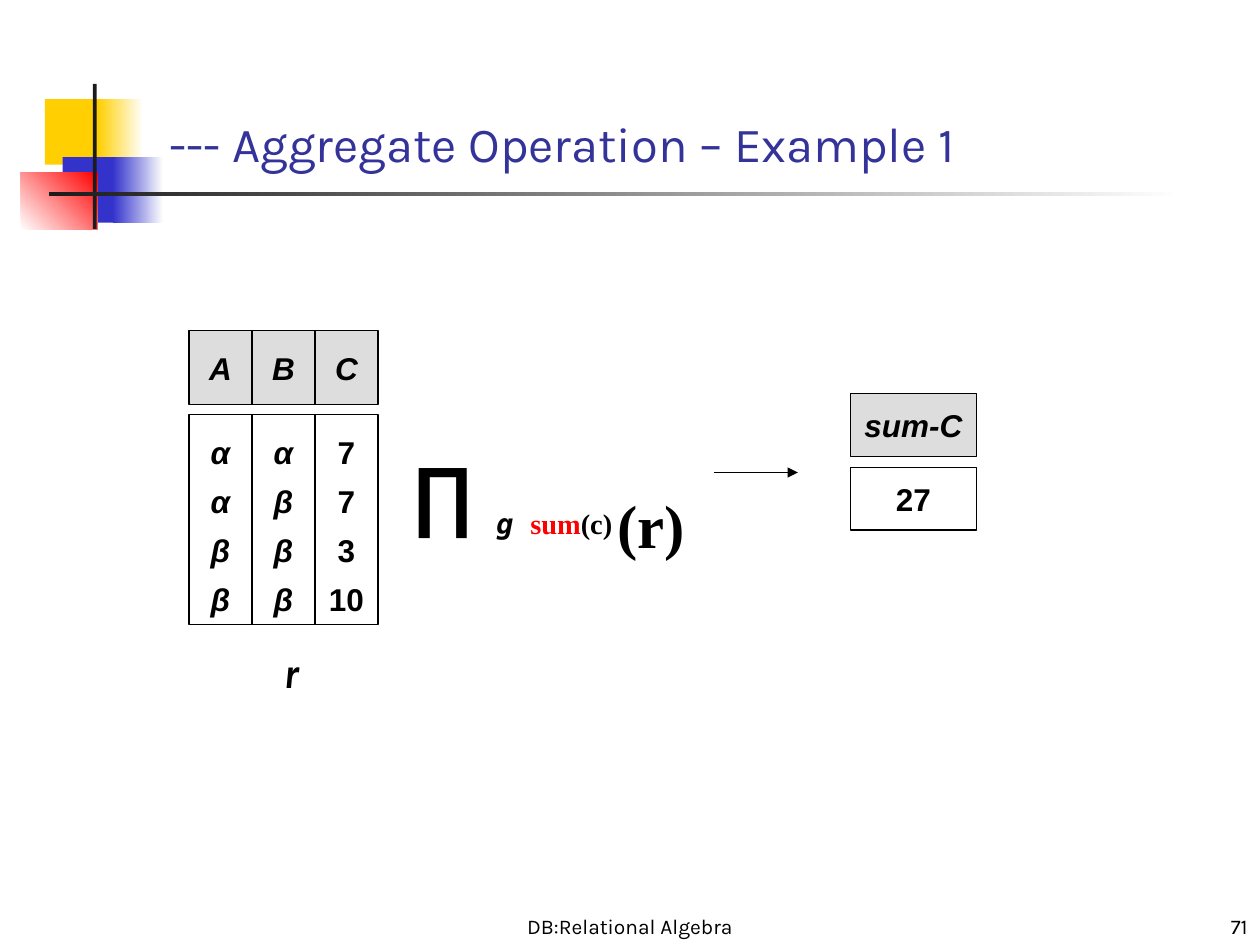
import dataclasses
import pptx
import pptx.util
import pptx.dml.color
import pptx.enum.shapes
import pptx.enum.text
import pptx.oxml

ALIGN = pptx.enum.text.PP_ALIGN
ANCHOR = pptx.enum.text.MSO_ANCHOR
WIDE, HIGH = 10, 7.5
COLS, ROWS = 240, 180


@dataclasses.dataclass(frozen=True)
class Theme:
    """Hold the colours, fonts and type sizes of the slide."""
    ink: str = "000000"
    paper: str = "FFFFFF"
    head: str = "DDDDDD"
    title: str = "333399"
    gold: str = "FFCF01"
    blue: str = "3333CC"
    red: str = "FF0000"
    bar: str = "1C1C1C"
    sans: str = "Karla"
    cell: str = "Arial"
    mono: str = "DejaVu Sans Mono"
    serif: str = "Times New Roman"
    foot: int = 12
    body: int = 18
    space: int = 20
    name: int = 24
    big: int = 28
    sign: int = 44
    call: int = 60
    line: float = 0.75


LOOK = Theme()


def span(*cells):
    """Turn left, top, width and height in grid cells into lengths."""
    steps = (WIDE / COLS, HIGH / ROWS) * 2
    return [pptx.util.Inches(n * step) for n, step in zip(cells, steps)]


def tint(code):
    """Return a colour for a hex code."""
    return pptx.dml.color.RGBColor.from_string(code)


def put(thing, **form):
    """Set each format value on an object."""
    for key, value in form.items():
        setattr(thing, key, value)


def write(para, text, size, face, color=LOOK.ink, drop=0, **form):
    """Add a run with its format to a paragraph."""
    run = para.add_run()
    run.text = text
    put(run.font, size=pptx.util.Pt(size), name=face, **form)
    run.font.color.rgb = tint(color)
    if drop:
        run.font._element.set("baseline", str(drop * 1000))


def block(slide, box, fill, fade=None, angle=0):
    """Draw a plain or fading rectangle without an outline."""
    kind = pptx.enum.shapes.MSO_SHAPE.RECTANGLE
    shape = slide.shapes.add_shape(kind, *span(*box))
    shape.shadow.inherit = False
    shape.line.fill.background()
    if fade:
        shape.fill.gradient()
        shape.fill.gradient_angle = angle
        for stop, code in zip(shape.fill.gradient_stops, (fill, fade)):
            stop.color.rgb = tint(code)
    else:
        shape.fill.solid()
        shape.fill.fore_color.rgb = tint(fill)
    return shape


def cell(slide, box, lines, fill, gap=None, italic=True):
    """Draw an outlined cell with centred lines of text."""
    shape = block(slide, box, fill)
    shape.line.color.rgb = tint(LOOK.ink)
    shape.line.width = pptx.util.Pt(LOOK.line)
    frame = shape.text_frame
    put(frame, word_wrap=False, vertical_anchor=ANCHOR.MIDDLE)
    for n, text in enumerate(lines):
        para = frame.add_paragraph() if n else frame.paragraphs[0]
        put(para, alignment=ALIGN.CENTER, line_spacing=gap)
        write(para, text, LOOK.body, LOOK.cell, bold=True, italic=italic)


def label(slide, box, align=ALIGN.LEFT, anchor=ANCHOR.TOP, wrap=True):
    """Add a text box and return its first paragraph."""
    frame = slide.shapes.add_textbox(*span(*box)).text_frame
    put(frame, word_wrap=wrap, vertical_anchor=anchor)
    frame.paragraphs[0].alignment = align
    return frame.paragraphs[0]


def motif(slide, box):
    """Draw the coloured squares and crossed bars from the box corner."""
    left, top, wide, high = box
    parts = (
        ((4.56, 2.88, 11.5, 12.5), LOOK.gold),
        ((14.64, 2.88, 8.64, 12.5), LOOK.gold, LOOK.paper),
        ((7.92, 13.92, 11, 12.5), LOOK.blue),
        ((17.52, 13.92, 9.6, 12.5), LOOK.blue, LOOK.paper),
        ((0, 16.8, 14.64, 11), LOOK.paper, LOOK.red, 45),
        ((13.68, 0, 0.75, high), LOOK.bar),
        ((5.28, 20.64, wide - 5.28, 0.75), LOOK.bar, LOOK.paper),
    )
    for (x, y, w, h), *paint in parts:
        block(slide, (left + x, top + y, w, h), *paint)


def source(slide, box):
    """Draw the relation with its heads, columns and name."""
    left, top, wide, high = box
    data = {"A": "α α β β", "B": "α β β β", "C": "7 7 3 10"}
    step = wide / len(data)
    for n, (head, items) in enumerate(data.items()):
        x = left + n * step
        cell(slide, (x, top, step, 14), [head], LOOK.head)
        cell(slide, (x, top + 16, step, high - 16), items.split(),
             LOOK.paper, 1.3, head != "C")
    para = label(slide, (left + 15.6, top + high + 3, 8.16, 12), wrap=False)
    write(para, "r", LOOK.name, LOOK.sans, bold=True, italic=True)


def formula(slide, box):
    """Write the aggregate expression."""
    para = label(slide, box)
    put(para._p.get_or_add_pPr(), marL=pptx.util.Inches(0.38),
        indent=pptx.util.Inches(-0.38))
    runs = (
        ("∏ ", LOOK.sign, LOOK.cell, LOOK.ink, 0, False),
        ("g ", LOOK.big, LOOK.mono, LOOK.ink, -25, True),
        ("sum", LOOK.big, LOOK.serif, LOOK.red, -25, False),
        ("(c)", LOOK.big, LOOK.serif, LOOK.ink, -25, False),
        (" ", LOOK.space, LOOK.serif, LOOK.ink, -25, False),
        ("(r)", LOOK.call, LOOK.serif, LOOK.ink, -25, False),
    )
    for *run, slant in runs:
        write(para, *run, bold=True, italic=slant)


def arrow(slide, box):
    """Draw an arrow along the top of the box."""
    x, y, w, h = span(*box)
    kind = pptx.enum.shapes.MSO_CONNECTOR.STRAIGHT
    link = slide.shapes.add_connector(kind, x, y, x + w, y + h)
    link.line.color.rgb = tint(LOOK.ink)
    link.line.width = pptx.util.Pt(LOOK.line)
    space = 'xmlns:a="http://schemas.openxmlformats.org/drawingml/2006/main"'
    tip = pptx.oxml.parse_xml(f'<a:tailEnd {space} type="triangle"/>')
    link.line._get_or_add_ln().append(tip)
    link._element.spPr.append(pptx.oxml.parse_xml(f"<a:effectLst {space}/>"))


def result(slide, box):
    """Draw the head and value of the answer."""
    left, top, wide, high = box
    cell(slide, (left, top, wide, 12), ["sum-C"], LOOK.head)
    cell(slide, (left, top + high - 12, wide, 12), ["27"], LOOK.paper,
         italic=False)


def title(slide, box):
    """Write the slide title."""
    para = label(slide, box, anchor=ANCHOR.BOTTOM)
    write(para, "--- Aggregate Operation – Example 1", LOOK.big, LOOK.sans,
          LOOK.title)


def footer(slide, box):
    """Write the course name and page number along the box."""
    left, top, wide, high = box
    for x, w, text, align in (
        (82, 76, "DB:Relational Algebra", ALIGN.CENTER),
        (wide - 50, 50, "71", ALIGN.RIGHT),
    ):
        para = label(slide, (left + x, top, w, high), align, ANCHOR.BOTTOM)
        write(para, text, LOOK.foot, LOOK.sans)


def main():
    """Build and save the slide."""
    deck = pptx.Presentation()
    put(deck, slide_width=pptx.util.Inches(WIDE),
        slide_height=pptx.util.Inches(HIGH))
    slide = deck.slides.add_slide(deck.slide_layouts[6])
    motif(slide, (4, 16, 221.28, 27.6))
    footer(slide, (0, 170, COLS, 10))
    title(slide, (30, 18, 204.5, 16))
    source(slide, (36, 63, 36, 56))
    formula(slide, (76, 78.25, 64, 25))
    result(slide, (162, 75, 24, 26))
    arrow(slide, (136, 90, 16, 0))
    deck.save("out.pptx")


if __name__ == "__main__":
    main()
